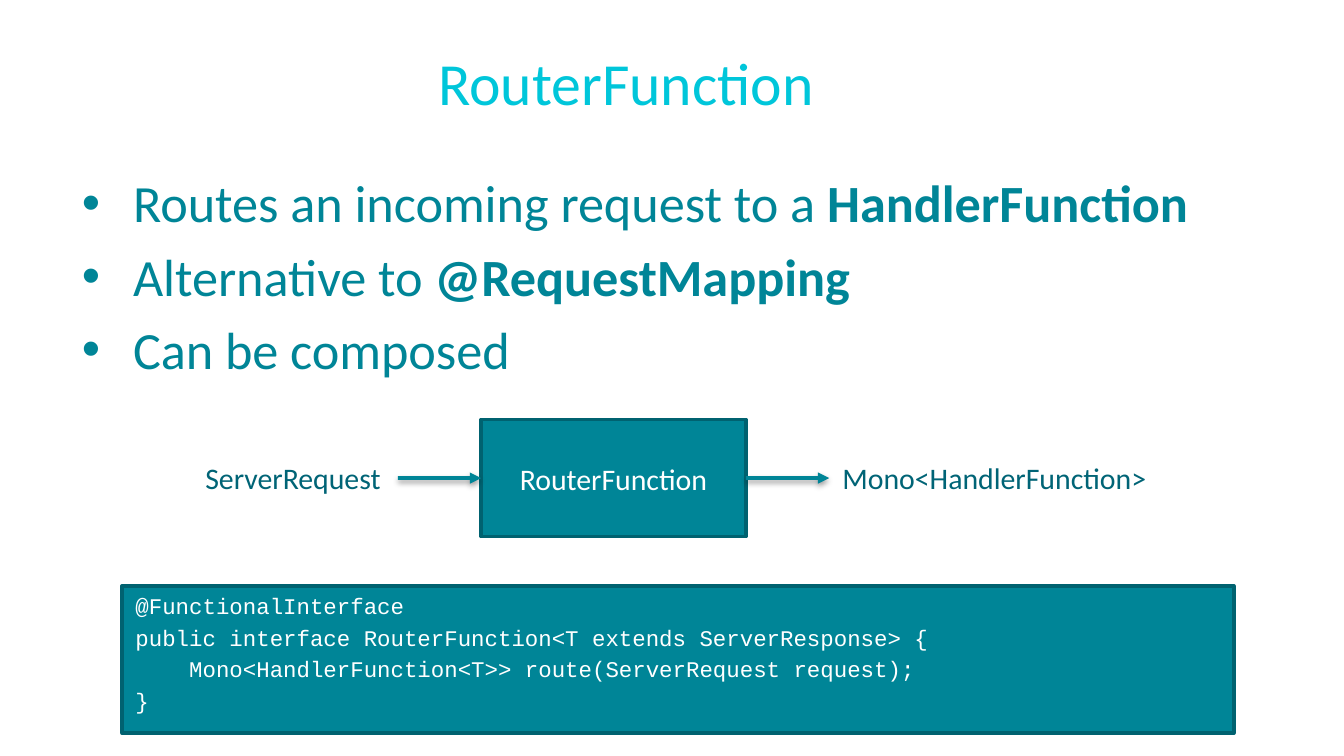
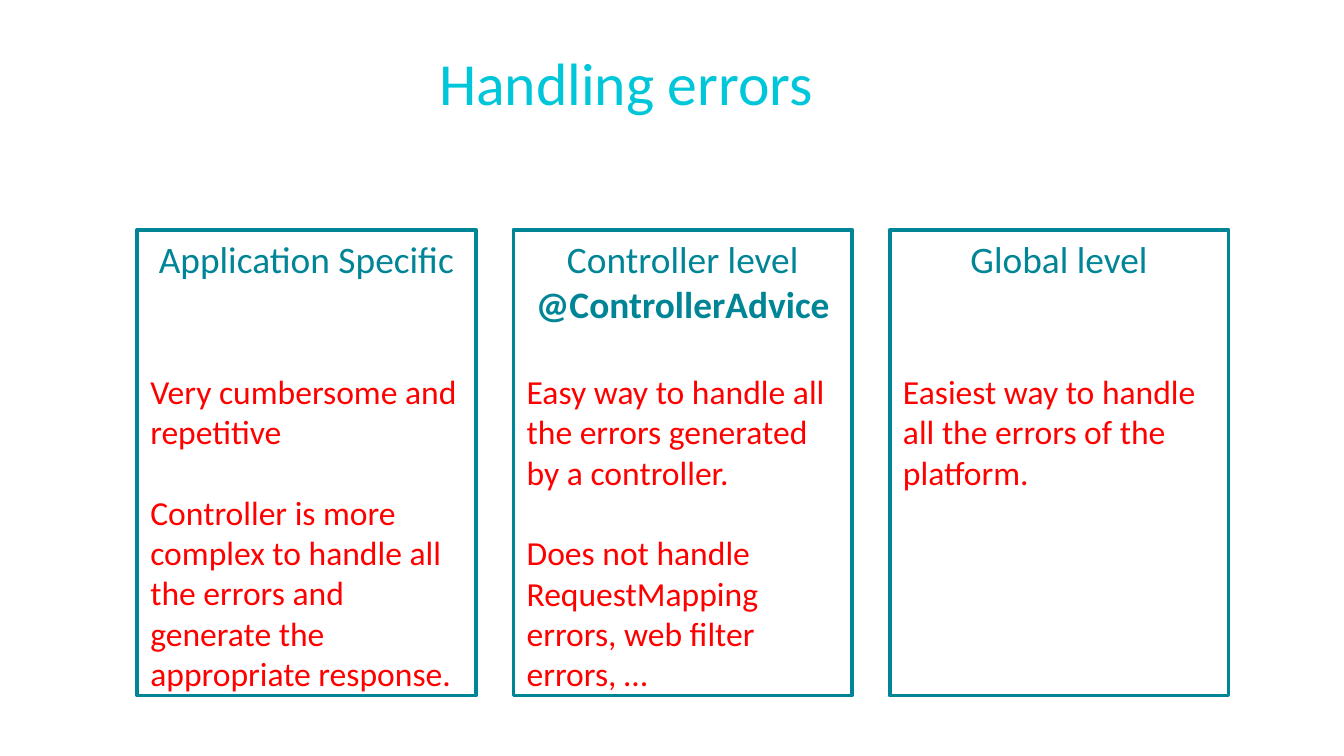
from lxml import etree
from pptx import Presentation
from pptx.dml.color import RGBColor
from pptx.enum.shapes import MSO_CONNECTOR, MSO_SHAPE
from pptx.enum.text import MSO_ANCHOR, MSO_AUTO_SIZE, PP_ALIGN
from pptx.oxml.ns import qn
from pptx.util import Inches, Pt

RECT = MSO_SHAPE.RECTANGLE
STRAIGHT = MSO_CONNECTOR.STRAIGHT
TOP, MIDDLE = MSO_ANCHOR.TOP, MSO_ANCHOR.MIDDLE
LEFT, CENTER = PP_ALIGN.LEFT, PP_ALIGN.CENTER
NO_FIT, GROW = MSO_AUTO_SIZE.NONE, MSO_AUTO_SIZE.SHAPE_TO_FIT_TEXT

CYAN = RGBColor(0x00, 0xC6, 0xDA)
TEAL = RGBColor(0x00, 0x85, 0x97)
DARK_TEAL = RGBColor(0x00, 0x62, 0x70)
LABEL_TEAL = RGBColor(0x00, 0x64, 0x76)
RED = RGBColor(0xFF, 0x00, 0x00)
WHITE = RGBColor(0xFF, 0xFF, 0xFF)
BLACK = RGBColor(0x00, 0x00, 0x00)

prs = Presentation()
prs.slide_width = Inches(10)
prs.slide_height = prs.slide_width * 9 // 16
COL = prs.slide_width / 100
ROW = prs.slide_height / 100


def grid(x, y, w, h):
    return round(x * COL), round(y * ROW), round(w * COL), round(h * ROW)


def add_run(p, text, size, color, bold=False, font="Calibri"):
    r = p.add_run()
    r.text = text
    r.font.size = Pt(size)
    r.font.name = font
    r.font.bold = bold
    r.font.color.rgb = color


slides = []
for title, layout in (("RouterFunction", 1), ("Handling errors", 5)):
    s = prs.slides.add_slide(prs.slide_layouts[layout])
    sp = s.shapes.title
    sp.left, sp.top, sp.width, sp.height = grid(3.5, 5.16, 86.2, 9.78)
    tf = sp.text_frame
    tf.auto_size = NO_FIT
    tf.vertical_anchor = TOP
    tf.paragraphs[0].alignment = CENTER
    add_run(tf.paragraphs[0], title, 32, CYAN)
    slides.append(s)
router_slide, errors_slide = slides

bullets = [
    ("Routes an incoming request to a ", "HandlerFunction"),
    ("Alternative to ", "@RequestMapping"),
    ("Can be composed", ""),
]
sp = router_slide.placeholders[1]
sp.left, sp.top, sp.width, sp.height = grid(5.1, 21.69, 88.9, 59.73)
tf = sp.text_frame
tf.auto_size = NO_FIT
for i, (plain, strong) in enumerate(bullets):
    p = tf.add_paragraph() if i else tf.paragraphs[0]
    pPr = p._p.get_or_add_pPr()
    pPr.set("marL", str(Inches(0.38)))
    pPr.set("indent", str(-Inches(0.38)))
    p.space_before = Pt(5.6 if i else 0)
    add_run(p, plain, 28, TEAL)
    if strong:
        add_run(p, strong, 28, TEAL, bold=True)

code = [
    "@FunctionalInterface",
    "public interface RouterFunction<T extends ServerResponse> {",
    "    Mono<HandlerFunction<T>> route(ServerRequest request);",
    "}",
]
boxes = [
    ((9.1, 77.51, 82.7, 19.47), code, 12, "Courier New", LEFT, TOP),
    ((35.8, 55.51, 19.7, 15.47), ["RouterFunction"], 16, "Calibri", CENTER, MIDDLE),
]
for place, lines, size, font, align, anchor in boxes:
    sp = router_slide.shapes.add_shape(RECT, *grid(*place))
    sp.shadow.inherit = False
    sp.fill.solid()
    sp.fill.fore_color.rgb = TEAL
    sp.line.color.rgb = DARK_TEAL
    sp.line.width = Pt(2)
    tf = sp.text_frame
    tf.word_wrap = True
    tf.vertical_anchor = anchor
    for i, line in enumerate(lines):
        p = tf.add_paragraph() if i else tf.paragraphs[0]
        p.alignment = align
        p.space_before = Pt(2.4 if i else 0)
        add_run(p, line, size, WHITE, font=font)
router = sp

labels = []
for text, x, w in (("ServerRequest", 14.3, 15.3), ("Mono<HandlerFunction>", 61.7, 24.9)):
    sp = router_slide.shapes.add_textbox(*grid(x, 59.95, w, 6.58))
    tf = sp.text_frame
    tf.word_wrap = False
    tf.auto_size = GROW
    add_run(tf.paragraphs[0], text, 16, LABEL_TEAL)
    labels.append(sp)
request, response = labels

for start, end in ((router, response), (request, router)):
    arrow = router_slide.shapes.add_connector(STRAIGHT, 0, 0, 0, 0)
    arrow.begin_connect(start, 3)
    arrow.end_connect(end, 1)
    arrow.line.color.rgb = TEAL
    arrow.line.width = Pt(2)
    etree.SubElement(arrow.line._get_or_add_ln(), qn("a:tailEnd"), type="triangle")
    effects = etree.SubElement(arrow._element.spPr, qn("a:effectLst"))
    shadow = etree.SubElement(effects, qn("a:outerShdw"), blurRad=str(Pt(3.1)),
                              dist=str(Pt(1.6)), dir="5400000", rotWithShape="0")
    tint = etree.SubElement(shadow, qn("a:srgbClr"), val=str(BLACK))
    etree.SubElement(tint, qn("a:alpha"), val="38000")

levels = [
    ("Application Specific", "", [
        "Very cumbersome and repetitive",
        "Controller is more complex to handle all the errors and generate the appropriate response.",
    ]),
    ("Controller level", "@ControllerAdvice", [
        "Easy way to handle all the errors generated by a controller.",
        "Does not handle RequestMapping errors, web filter errors, …",
    ]),
    ("Global level", "", ["Easiest way to handle all the errors of the platform."]),
]
for i, (heading, annotation, notes) in enumerate(levels):
    sp = errors_slide.shapes.add_shape(RECT, *grid(10.2 + 28 * i, 30.4, 25.2, 61.6))
    sp.shadow.inherit = False
    sp.fill.solid()
    sp.fill.fore_color.rgb = WHITE
    sp.line.color.rgb = TEAL
    sp.line.width = Pt(2)
    tf = sp.text_frame
    tf.word_wrap = True
    tf.vertical_anchor = TOP
    p = tf.paragraphs[0]
    p.alignment = CENTER
    add_run(p, heading, 20, TEAL)
    if annotation:
        p = tf.add_paragraph()
        p.alignment = CENTER
        add_run(p, annotation, 20, TEAL, bold=True)
    gap = 24 if annotation else 48
    for note in notes:
        p = tf.add_paragraph()
        p.alignment = LEFT
        p.space_before = Pt(gap)
        add_run(p, note, 18, RED)
        gap = 21.6

prs.save("out.pptx")
